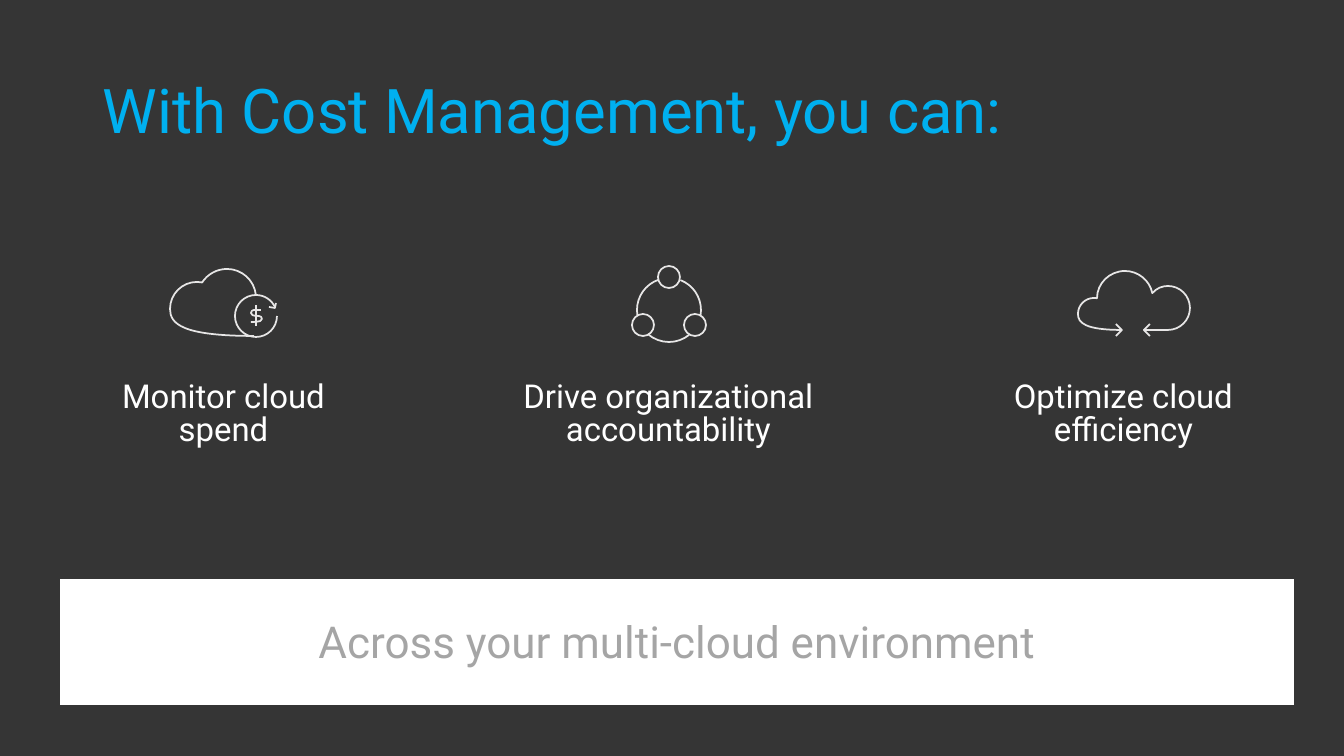
"""Build the cost management slide with three line icons and a banner."""
from math import ceil, cos, floor, radians, sin, tan

from lxml import etree
from pptx import Presentation
from pptx.dml.color import RGBColor
from pptx.enum.shapes import MSO_SHAPE
from pptx.enum.text import MSO_ANCHOR, PP_ALIGN
from pptx.oxml.ns import qn
from pptx.util import Inches, Pt

PX = Inches(7.5) / 756
FONT = "Roboto"
COLORS = {
    "background": "353535",
    "title": "00B0F0",
    "white": "FFFFFF",
    "icon": "E7E6E6",
    "banner text": "A5A5A5",
}
RGB = {name: RGBColor.from_string(value) for name, value in COLORS.items()}


def arc(cx, cy, radius, start, end):
    low, high = min(start, end), max(start, end)
    quarters = range(floor(low / 90) + 1, ceil(high / 90))
    stops = sorted([low, high] + [90 * q for q in quarters], reverse=start > end)
    points = [(cx + radius * cos(radians(start)), cy + radius * sin(radians(start)))]
    for a, b in zip(map(radians, stops), map(radians, stops[1:])):
        k = 4 / 3 * tan((b - a) / 4)
        curve = [
            (cos(a) - k * sin(a), sin(a) + k * cos(a)),
            (cos(b) + k * sin(b), sin(b) - k * cos(b)),
            (cos(b), sin(b)),
        ]
        points += [(cx + radius * x, cy + radius * y) for x, y in curve]
    return points


def write(sp, lines, size, color, spacing, align, anchor, insets):
    tf = sp.text_frame
    tf.word_wrap = True
    tf.vertical_anchor = anchor
    tf.margin_left, tf.margin_top, tf.margin_right, tf.margin_bottom = [
        round(inset * PX) for inset in insets
    ]
    for i, line in enumerate(lines):
        p = tf.add_paragraph() if i else tf.paragraphs[0]
        p.alignment = align
        p.line_spacing = spacing
        r = p.add_run()
        r.text = line
        r.font.size = Pt(size)
        r.font.name = FONT
        r.font.color.rgb = RGB[color]


prs = Presentation()
prs.slide_width = round(1344 * PX)
prs.slide_height = round(756 * PX)
s = prs.slides.add_slide(prs.slide_layouts[6])
s.background.fill.solid()
s.background.fill.fore_color.rgb = RGB["background"]

captions = [
    (936, 375, 68, ["Optimize cloud", "efficiency"]),
    (58, 331, 97, ["Monitor cloud", "spend"]),
    (449, 439, 62, ["Drive organizational", "accountability"]),
]
for left, width, height, lines in captions:
    box = [round(v * PX) for v in (left, 382, width, height)]
    caption = s.shapes.add_textbox(*box)
    write(caption, lines, 23.5, "white", Pt(23.7),
          PP_ALIGN.CENTER, MSO_ANCHOR.TOP, (0, 0, 0, 0))

title_box = [round(v * PX) for v in (93, 41, 1159, 146)]
title = s.shapes.add_textbox(*title_box)
write(title, ["With Cost Management, you can:"], 44, "title", 0.9,
      PP_ALIGN.LEFT, MSO_ANCHOR.MIDDLE, (10, 5, 10, 5))

banner_box = [round(v * PX) for v in (60, 579, 1234, 126)]
banner = s.shapes.add_shape(MSO_SHAPE.RECTANGLE, *banner_box)
banner.shadow.inherit = False
banner.fill.solid()
banner.fill.fore_color.rgb = RGB["white"]
banner.line.fill.background()
write(banner, ["Across your multi-cloud environment"], 31.4, "banner text", Pt(42.5),
      PP_ALIGN.CENTER, MSO_ANCHOR.MIDDLE, (20, 30, 20, 39))
banner.text_frame.paragraphs[0].space_after = Pt(5.9)

team_ring = [[(669, 310, 32, a, a + 80)] for a in (171, 51, -69)]
team_ring += [[(x, y, 11, 0, 360)] for x, y in ((669, 277), (643, 325), (695, 325))]
efficiency_cloud = [
    [(1122, 330), (1094, 314, 16, 90, 281), (1125, 299, 28, 180, 348),
     (1168, 308, 22, 225, 450), (1144, 330)],
    [(1116, 336), (1122, 330), (1116, 324)],
    [(1150, 324), (1144, 330), (1150, 336)],
]
coin = [
    [(256, 316, 21, 0, 337)],
    [(269, 307), (275, 308), (276, 303)],
    [(251, 322), (259, 319, 3, 90, -90), (254, 313, 3, 90, 270), (261, 310)],
    [(256, 305), (256, 326)],
]
spend_cloud = [[(254, 336), (197, 309, 27, 90, 281), (227, 298, 29, 211, 354)]]

for strokes in (team_ring, efficiency_cloud, coin, spend_cloud):
    builder = None
    for stroke in strokes:
        points = []
        for step in stroke:
            piece = arc(*step) if len(step) == 5 else [step] * 4
            points += piece[1:] if points else piece if len(step) == 5 else [step]
        outline = [(x * PX, y * PX) for x, y in points]
        if builder:
            builder.move_to(*outline[0])
        else:
            builder = s.shapes.build_freeform(*outline[0])
        builder.add_line_segments(outline[1:], close=False)
    icon = builder.convert_to_shape()
    icon.shadow.inherit = False
    icon.fill.background()
    icon.line.color.rgb = RGB["icon"]
    icon.line.width = Pt(1.25)
    segments = list(icon.element.iter(qn("a:lnTo")))
    for i in range(0, len(segments), 3):
        curve = etree.Element(qn("a:cubicBezTo"))
        segments[i].addprevious(curve)
        for segment in segments[i:i + 3]:
            curve.append(segment[0])
            segment.getparent().remove(segment)

prs.save("out.pptx")
